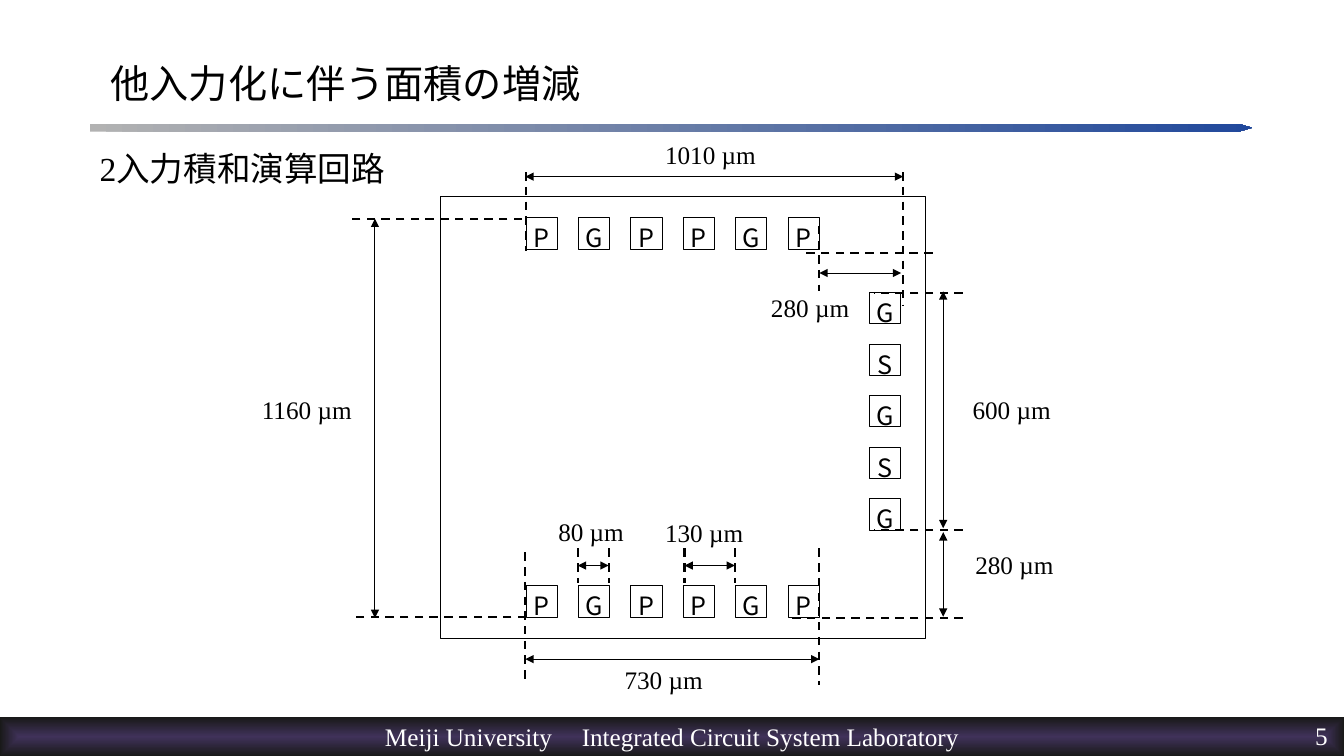
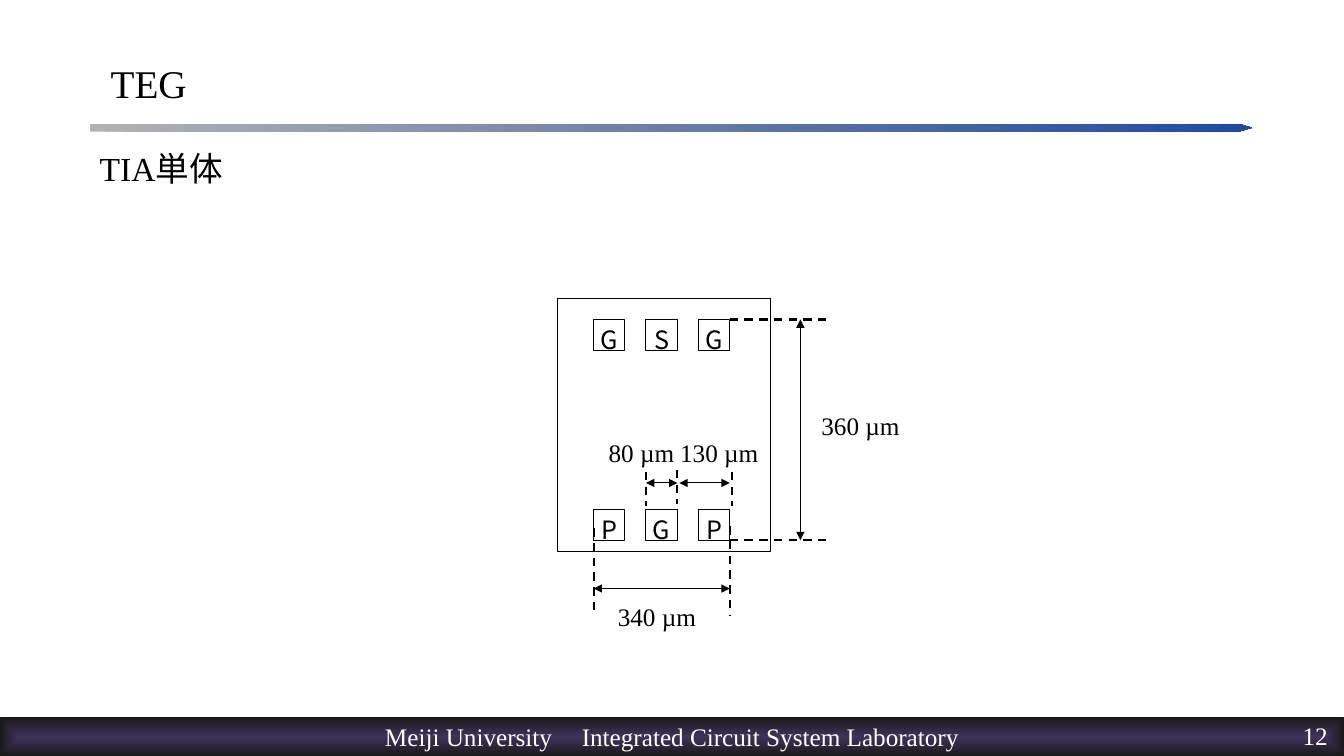
from lxml import etree
from pptx import Presentation
from pptx.dml.color import RGBColor
from pptx.enum import dml, shapes, text
from pptx.oxml import parse_xml
from pptx.oxml.ns import nsdecls, qn
from pptx.util import Cm, Pt

BLACK, WHITE = "000000", "FFFFFF"
RULE_COLORS = "B2B2B2", "21499C"
FOOTER_COLORS = "40325A", "191919"
SERIF, SANS = "Times New Roman", "Noto Sans CJK JP"
FOOTER = "Meiji University\tIntegrated Circuit System Laboratory"
WIDTH, HEIGHT = 33.87, 19.05
PAD, ROW_PITCH, COLUMN_PITCH = 0.79, 1.32, 1.3
TAB, TAB_COUNT = 1.24, 8

# All lengths are in cm.
# die: left, top, width, height; pads: letters, left, top, step right, step down
# guides: x1, y1, x2, y2; dimensions: label, label left, label top, arrow ends
SLIDES = [
    {
        "title": "他入力化に伴う面積の増減",
        "subtitle": "2入力積和演算回路",
        "page": "5",
        "die": (11.1, 4.95, 12.22, 11.13),
        "pads": [
            ("PGPPGP", 13.26, 5.49, ROW_PITCH, 0),
            ("PGPPGP", 13.26, 14.76, ROW_PITCH, 0),
            ("GSGSG", 21.91, 7.37, 0, COLUMN_PITCH),
        ],
        "guides": [
            (20.65, 5.69, 20.65, 7.34),
            (23.5, 6.38, 20.32, 6.38),
            (13.24, 13.92, 13.24, 17.22),
            (20.65, 13.82, 20.65, 17.27),
            (14.56, 13.82, 14.56, 14.68),
            (15.34, 13.82, 15.34, 14.68),
            (17.25, 13.82, 17.25, 14.68),
            (18.52, 13.82, 18.52, 14.68),
            (24.26, 7.39, 22.02, 7.39),
            (24.26, 13.36, 22.02, 13.36),
            (24.26, 15.57, 19.96, 15.57),
            (13.26, 4.34, 13.26, 6.32),
            (22.76, 4.34, 22.76, 7.72),
            (13.16, 5.51, 8.86, 5.51),
            (13.26, 15.54, 8.97, 15.54),
        ],
        "dimensions": [
            ("1010 µm", 16.51, 3.38, (13.24, 4.45, 22.76, 4.45)),
            ("280 µm", 19.18, 7.24, (20.65, 6.88, 22.71, 6.88)),
            ("1160 µm", 6.35, 9.8, (9.45, 15.57, 9.45, 5.51)),
            ("600 µm", 24.26, 9.8, (23.77, 13.31, 23.77, 7.34)),
            ("280 µm", 24.33, 13.72, (23.77, 15.54, 23.77, 13.41)),
            ("80 µm", 13.82, 12.88, (14.56, 14.25, 15.34, 14.25)),
            ("130 µm", 16.51, 12.9, (17.25, 14.25, 18.52, 14.25)),
            ("730 µm", 15.49, 16.61, (13.24, 16.61, 20.65, 16.61)),
        ],
    },
    {
        "title": "TEG",
        "subtitle": "TIA単体",
        "page": "12",
        "die": (14.05, 7.52, 5.36, 6.38),
        "pads": [
            ("GSG", 14.96, 8.05, ROW_PITCH, 0),
            ("PGP", 14.96, 12.83, ROW_PITCH, 0),
        ],
        "guides": [
            (14.96, 13.31, 14.96, 15.52),
            (18.39, 13.26, 18.39, 15.52),
            (16.28, 11.89, 16.28, 12.75),
            (17.07, 11.84, 17.07, 12.7),
            (18.44, 11.89, 18.44, 12.75),
            (18.39, 8.05, 20.98, 8.05),
            (18.39, 13.61, 20.98, 13.61),
        ],
        "dimensions": [
            ("360 µm", 20.45, 10.21, (20.17, 8.05, 20.17, 13.61)),
            ("80 µm", 15.09, 10.9, (16.28, 12.17, 17.07, 12.17)),
            ("130 µm", 16.89, 10.9, (17.12, 12.17, 18.39, 12.17)),
            ("340 µm", 15.32, 15.04, (14.96, 14.83, 18.39, 14.83)),
        ],
    },
]


def rgb(color):
    return RGBColor.from_string(color)


def cms(*lengths):
    return [Cm(n) for n in lengths]


def write(sp, words, size=18, font=SERIF, color=BLACK, align=text.PP_ALIGN.LEFT,
          anchor=text.MSO_ANCHOR.TOP, insets=None, wrap=True):
    tf = sp.text_frame
    tf.word_wrap = wrap
    tf.vertical_anchor = anchor
    if insets:
        tf.margin_left, tf.margin_top, tf.margin_right, tf.margin_bottom = cms(*insets)
    p = tf.paragraphs[0]
    p.add_run().text = words
    p.alignment = align
    if "\t" in words:
        tabs = etree.SubElement(p._p.get_or_add_pPr(), qn("a:tabLst"))
        for i in range(TAB_COUNT):
            etree.SubElement(tabs, qn("a:tab"), pos=str(Cm(TAB * i)), algn="l")
    p.font.size, p.font.name = Pt(size), font
    p.font.color.rgb = rgb(color)
    etree.SubElement(p.font._element, qn("a:ea"), typeface=SANS)


def add_text(s, box, words, **style):
    write(s.shapes.add_textbox(*cms(*box)), words, **style)


def add_outline(s, box):
    sp = s.shapes.add_shape(shapes.MSO_SHAPE.RECTANGLE, *cms(*box))
    sp.shadow.inherit = False
    sp.fill.background()
    sp.line.color.rgb = rgb(BLACK)
    sp.line.width = Pt(0.75)
    return sp


def add_band(s, box, point, colors, direction):
    """Add a borderless pentagon whose gradient follows the direction XML."""
    sp = s.shapes.add_shape(shapes.MSO_SHAPE.PENTAGON, *cms(*box))
    sp.adjustments[0] = point
    sp.shadow.inherit = False
    sp.line.fill.background()
    first, last = (f'<a:srgbClr val="{c}"/>' for c in colors)
    sp._element.spPr.find(qn("a:prstGeom")).addnext(parse_xml(
        f'<a:gradFill {nsdecls("a")}><a:gsLst><a:gs pos="0">{first}</a:gs>'
        f'<a:gs pos="100000">{last}</a:gs></a:gsLst>{direction}</a:gradFill>'))
    return sp


def add_line(s, ends, arrow=False):
    """Add a dashed guide, or a thin double-headed arrow."""
    ln = s.shapes.add_connector(shapes.MSO_CONNECTOR.STRAIGHT, *cms(*ends))
    ln.line.color.rgb = rgb(BLACK)
    ln.line.width = Pt(0.75 if arrow else 1.5)
    if arrow:
        for end in ("a:headEnd", "a:tailEnd"):
            etree.SubElement(ln.line._get_or_add_ln(), qn(end), type="triangle")
    else:
        ln.line.dash_style = dml.MSO_LINE.DASH
    etree.SubElement(ln._element.spPr, qn("a:effectLst"))


def add_frame(s, title, subtitle, page):
    """Add what every slide shares: rule, footer, page number and headings."""
    add_band(s, (2.26, 3.12, 29.29, 0.2), 1.687, RULE_COLORS, '<a:lin ang="0"/>')
    footer = add_band(
        s, (0, 18.08, WIDTH, 0.97), 0, FOOTER_COLORS,
        '<a:path path="shape"><a:fillToRect l="50000" t="50000" r="50000" b="50000"/></a:path>')
    write(footer, FOOTER, color=WHITE, align=text.PP_ALIGN.CENTER,
          anchor=text.MSO_ANCHOR.MIDDLE, wrap=False)
    add_text(s, (24.77, 18.16, 8.69, 0.89), page, color=WHITE,
             align=text.PP_ALIGN.RIGHT, insets=(0, 0, 0, 0))
    add_text(s, (2.54, 0.74, 28.7, 2.69), title, size=28, anchor=text.MSO_ANCHOR.MIDDLE)
    add_text(s, (2.26, 3.61, 28.98, 13.28), subtitle, size=24)


def add_pads(s, letters, left, top, dx, dy):
    for i, letter in enumerate(letters):
        pad = add_outline(s, (left + i * dx, top + i * dy, PAD, PAD))
        write(pad, letter, font=SANS, align=text.PP_ALIGN.CENTER,
              anchor=text.MSO_ANCHOR.MIDDLE, insets=(0, 0.22, 0, 0))


def main():
    prs = Presentation()
    prs.slide_width, prs.slide_height = cms(WIDTH, HEIGHT)
    for content in SLIDES:
        s = prs.slides.add_slide(prs.slide_layouts[6])
        add_frame(s, content["title"], content["subtitle"], content["page"])
        add_outline(s, content["die"])
        for pads in content["pads"]:
            add_pads(s, *pads)
        for ends in content["guides"]:
            add_line(s, ends)
        for label, left, top, ends in content["dimensions"]:
            add_line(s, ends, arrow=True)
            add_text(s, (left, top, 2.87, 1.02), label)
    prs.save("out.pptx")


if __name__ == "__main__":
    main()
